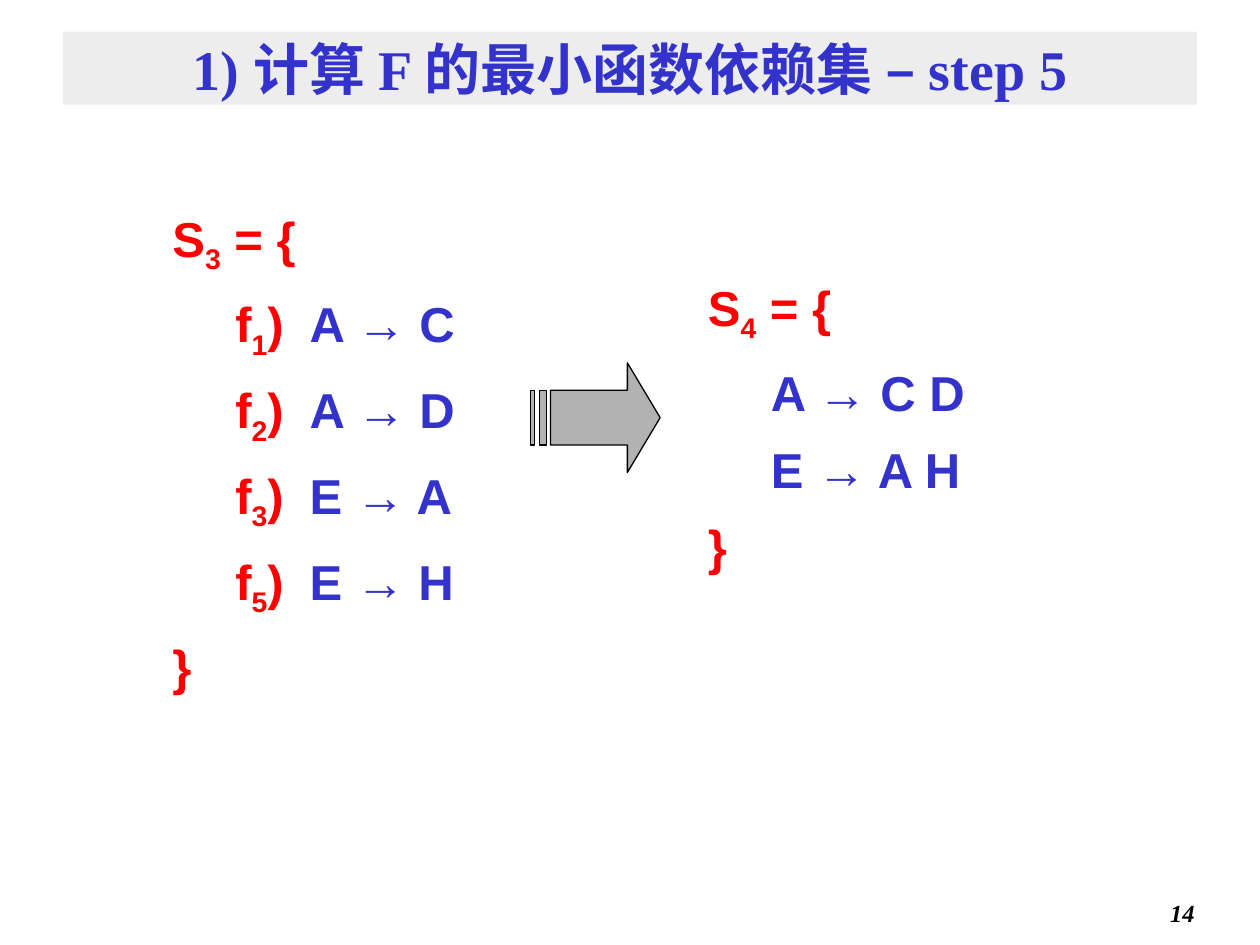
from lxml.etree import SubElement
from pptx import Presentation
from pptx.dml.color import RGBColor
from pptx.enum.text import MSO_ANCHOR as Anchor, PP_ALIGN as Align
from pptx.oxml.ns import qn
from pptx.util import Inches, Pt

COLORS = {
    "red": "FF0000",
    "blue": "3333CC",
    "black": "000000",
    "band": "DDDDDD",
    "arrow": "B2B2B2",
}
SERIF, SANS = "Times New Roman", "Arial"


def rgb(name):
    return RGBColor.from_string(COLORS[name])


class SlideBuilder:
    def __init__(self, slide):
        self.shapes = slide.shapes

    def text_box(self, left, top, width, height):
        box = self.shapes.add_textbox(
            Inches(left), Inches(top), Inches(width), Inches(height))
        box.text_frame.word_wrap = True
        return box

    def style(self, para, size, font, color):
        para.font.size = Pt(size)
        para.font.name = font
        para.font.bold = True
        para.font.color.rgb = rgb(color)

    def title(self, text):
        box = self.text_box(0.5, 0.25, 9, 0.58)
        box.fill.solid()
        box.fill.fore_color.rgb = rgb("band")
        color = box.fill._xPr.find(qn("a:solidFill"))[0]
        SubElement(color, qn("a:alpha"), val="50000")
        box.text_frame.vertical_anchor = Anchor.MIDDLE
        para = box.text_frame.paragraphs[0]
        para.text = text
        para.alignment = Align.CENTER
        self.style(para, 32, SERIF, "blue")

    def page_number(self, number):
        para = self.text_box(7.5, 7.08, 2.08, 0.33).text_frame.paragraphs[0]
        para.text = str(number)
        para.alignment = Align.RIGHT
        self.style(para, 14, SERIF, "black")
        para.font.italic = True

    def span(self, para, text, color, subscript=False):
        span = para.add_run()
        span.text = text
        span.font.color.rgb = rgb(color)
        if subscript:
            span._r.get_or_add_rPr().set("baseline", "-25000")

    def dependency_set(self, place, index, rules):
        """Write S_index = { rules }; a rule is (label index or None, text)."""
        frame = self.text_box(*place).text_frame

        def add_line(para, margin, hanging):
            self.style(para, 28, SANS, "red")
            para.line_spacing = 1.1
            para.space_before = Pt(7)
            properties = para._p.get_or_add_pPr()
            properties.set("marL", str(Inches(margin)))
            properties.set("indent", str(-Inches(hanging)))
            return para

        head = add_line(frame.paragraphs[0], 0.5, 0.5)
        self.span(head, "S", "red")
        self.span(head, index, "red", subscript=True)
        self.span(head, " = {", "red")
        for label, text in rules:
            para = add_line(frame.add_paragraph(), 1.09, 0.59)
            para.level = 1
            if label:
                self.span(para, "f", "red")
                self.span(para, label, "red", subscript=True)
                self.span(para, ")\t", "red")
            self.span(para, text, "blue")
        self.span(add_line(frame.add_paragraph(), 0.5, 0.5), "}", "red")

    def striped_arrow(self, stripes, shaft, neck, tip, top, height):
        """Draw a right arrow whose tail is split into (left, right) stripes."""
        middle, bottom = top + height / 2, top + height
        upper, lower = top + height / 4, bottom - height / 4
        outlines = [[(neck, top), (neck, upper), (shaft, upper), (shaft, lower),
                     (neck, lower), (neck, bottom), (tip, middle)]]
        outlines += [[(left, upper), (left, lower), (right, lower), (right, upper)]
                     for left, right in stripes]
        builder = None
        for outline in outlines:
            start, *rest = [(Inches(x), Inches(y)) for x, y in outline]
            if builder is None:
                builder = self.shapes.build_freeform(*start)
            else:
                builder.move_to(*start)
            builder.add_line_segments(rest, close=True)
        arrow = builder.convert_to_shape()
        arrow.shadow.inherit = False
        arrow.fill.solid()
        arrow.fill.fore_color.rgb = rgb("arrow")
        arrow.line.color.rgb = rgb("black")
        arrow.line.width = Pt(0.75)


def main():
    deck = Presentation()
    deck.slide_width, deck.slide_height = Inches(10), Inches(7.5)
    page = SlideBuilder(deck.slides.add_slide(deck.slide_layouts[6]))
    page.page_number(14)
    page.title("1) 计算 F 的最小函数依赖集 – step 5")
    page.dependency_set((1.27, 1.55, 2.87, 3.86), "3", [
        ("1", "A → C"), ("2", "A → D"), ("3", "E → A"), ("5", "E → H")])
    page.striped_arrow([(4.28, 4.34), (4.21, 4.24)], shaft=4.37, neck=4.98,
                       tip=5.24, top=2.88, height=0.87)
    page.dependency_set((5.52, 2.1, 3.26, 2.52), "4", [
        (None, "A → C D"), (None, "E → A H")])
    deck.save("out.pptx")


if __name__ == "__main__":
    main()
